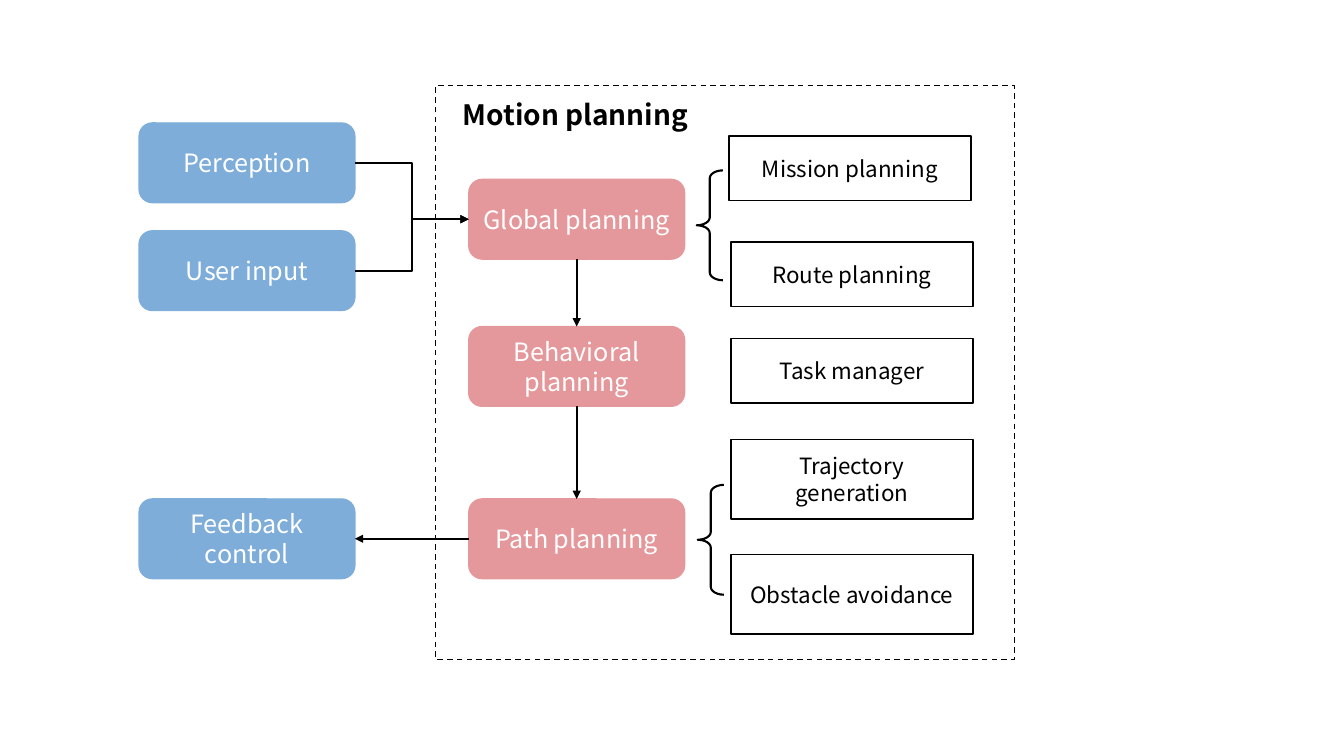
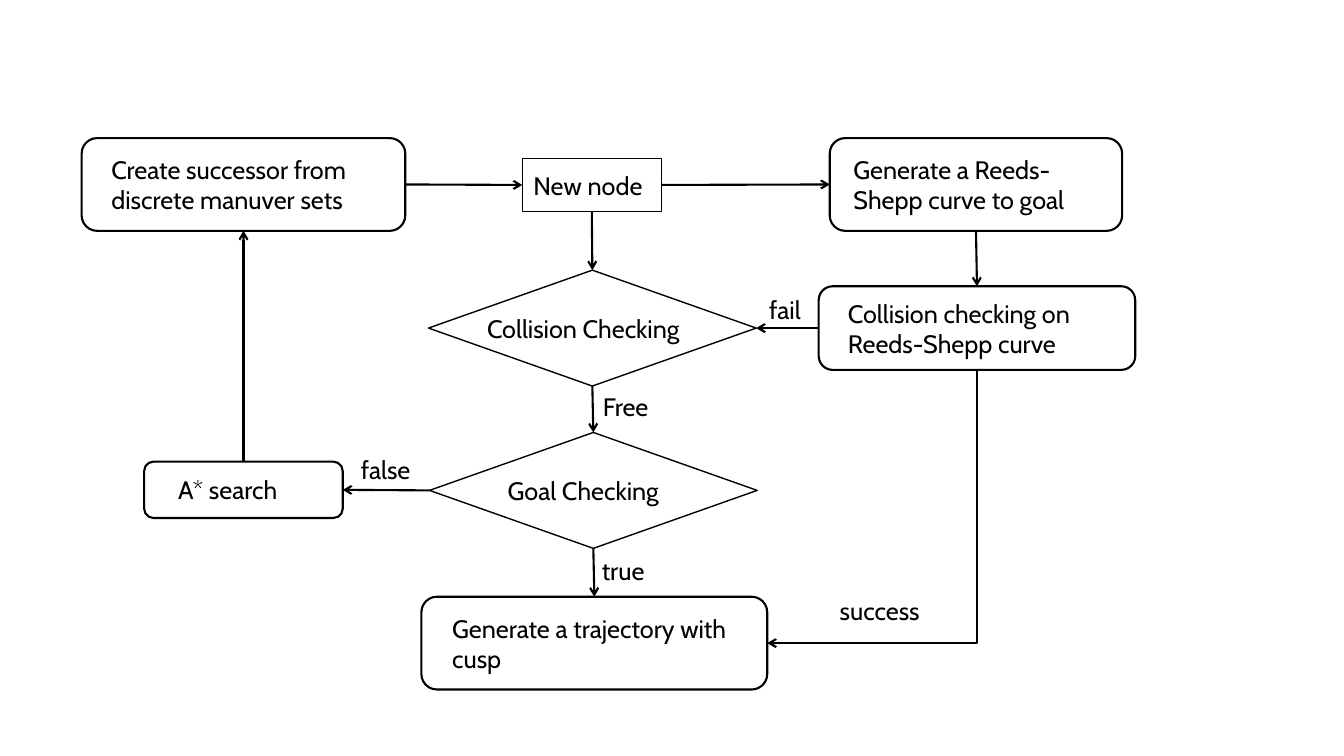
"""Build two flowchart slides: motion planning layers and a path search loop."""
from pptx import Presentation
from pptx.dml.color import RGBColor
from pptx.enum import dml, shapes, text
from pptx.oxml import ns, xmlchemy
from pptx.util import Inches, Pt

BLACK = RGBColor(0x00, 0x00, 0x00)
WHITE = RGBColor(0xFF, 0xFF, 0xFF)
PINK = RGBColor(0xE5, 0x98, 0x9B)
BLUE = RGBColor(0x7E, 0xAD, 0xD9)
SANS = "Noto Sans CJK SC"
CABIN = "Cabin"
RECT = shapes.MSO_SHAPE.RECTANGLE
ROUND = shapes.MSO_SHAPE.ROUNDED_RECTANGLE
DIAMOND = shapes.MSO_SHAPE.DIAMOND
STRAIGHT = shapes.MSO_CONNECTOR.STRAIGHT
ELBOW = shapes.MSO_CONNECTOR.ELBOW
CENTER = text.PP_ALIGN.CENTER
LEFT = text.PP_ALIGN.LEFT
TOP_SIDE, LEFT_SIDE, BOTTOM_SIDE, RIGHT_SIDE = range(4)


def add_box(page, kind, place, words, font, size, fill=WHITE, line=BLACK, ink=BLACK,
            weight=1, align=CENTER, insets=(0.1, 0.1)):
    """Add a filled, outlined shape holding one paragraph."""
    box = page.shapes.add_shape(kind, *[Inches(length) for length in place])
    box.shadow.inherit = False
    box.fill.solid()
    box.fill.fore_color.rgb = fill
    box.line.color.rgb = line
    box.line.width = Pt(weight)
    frame = box.text_frame
    frame.word_wrap = kind != DIAMOND
    frame.vertical_anchor = text.MSO_ANCHOR.MIDDLE
    frame.margin_left, frame.margin_right = [Inches(inset) for inset in insets]
    para = frame.paragraphs[0]
    para.alignment = align
    span = para.add_run()
    span.text = words
    span.font.name = font
    span.font.size = Pt(size)
    span.font.color.rgb = ink
    return box


def link(page, start, start_side, end, end_side, head, kind=STRAIGHT):
    """Join two shapes with an arrow glued to their sides."""
    arrow = page.shapes.add_connector(kind, 0, 0, 0, 0)
    arrow.begin_connect(start, start_side)
    arrow.end_connect(end, end_side)
    arrow.line.color.rgb = BLACK
    arrow.line.width = Pt(1.5)
    tail = xmlchemy.OxmlElement("a:tailEnd")
    tail.set("type", head)
    arrow.line._get_or_add_ln().append(tail)
    arrow._element.spPr.append(xmlchemy.OxmlElement("a:effectLst"))
    return arrow


deck = Presentation()
deck.slide_width = Inches(13.33)
deck.slide_height = Inches(7.5)
blank = deck.slide_layouts[6]

planning = deck.slides.add_slide(blank)
border = planning.shapes.add_shape(RECT, Inches(4.32), Inches(0.85), Inches(5.74), Inches(5.69))
border.shadow.inherit = False
border.fill.background()
border.line.color.rgb = BLACK
border.line.width = Pt(1)
border.line.dash_style = dml.MSO_LINE.DASH

stages = {}
for words, left, top, color in [
    ("Perception", 1.38, 1.22, BLUE),
    ("User input", 1.38, 2.29, BLUE),
    ("Feedback control", 1.38, 4.95, BLUE),
    ("Global planning", 4.65, 1.78, PINK),
    ("Behavioral planning", 4.65, 3.24, PINK),
    ("Path planning", 4.65, 4.95, PINK),
]:
    stages[words] = add_box(planning, ROUND, (left, top, 2.14, 0.79), words, SANS, 18,
                            fill=color, line=color, ink=WHITE)

for words, left, top, height in [
    ("Mission planning", 7.23, 1.35, 0.64),
    ("Route planning", 7.25, 2.4, 0.64),
    ("Task manager", 7.25, 3.36, 0.64),
    ("Trajectory generation", 7.25, 4.36, 0.79),
    ("Obstacle avoidance", 7.25, 5.5, 0.79),
]:
    add_box(planning, RECT, (left, top, 2.4, height), words, SANS, 16)

for left, top in [(6.91, 1.69), (6.92, 4.81)]:
    brace = planning.shapes.add_shape(shapes.MSO_SHAPE.LEFT_BRACE, Inches(left), Inches(top),
                                      Inches(0.26), Inches(1.09))
    brace.adjustments[0] = 0.3
    brace.shadow.inherit = False
    brace.fill.background()
    brace.line.color.rgb = BLACK
    brace.line.width = Pt(1.5)

for start, start_side, end, end_side, kind in [
    ("Perception", RIGHT_SIDE, "Global planning", LEFT_SIDE, ELBOW),
    ("User input", RIGHT_SIDE, "Global planning", LEFT_SIDE, ELBOW),
    ("Global planning", BOTTOM_SIDE, "Behavioral planning", TOP_SIDE, STRAIGHT),
    ("Behavioral planning", BOTTOM_SIDE, "Path planning", TOP_SIDE, STRAIGHT),
    ("Path planning", LEFT_SIDE, "Feedback control", RIGHT_SIDE, STRAIGHT),
]:
    link(planning, stages[start], start_side, stages[end], end_side, "triangle", kind)

search = deck.slides.add_slide(blank)
steps = {}
for name, words, kind, place, weight, align, insets in [
    ("node", "New node", RECT, (5.18, 1.57, 1.38, 0.53), 1, LEFT, (0.11, 0.1)),
    ("collision", "Collision Checking", DIAMOND, (4.25, 2.68, 3.25, 1.15), 1, CENTER, (0, 0.18)),
    ("goal", "Goal Checking", DIAMOND, (4.26, 4.29, 3.25, 1.15), 1, CENTER, (0, 0.2)),
    ("curve", "Generate a Reeds-Shepp curve to goal", ROUND, (8.23, 1.37, 2.9, 0.92),
     1.5, LEFT, (0.19, 0.25)),
    ("curve check", "Collision checking on Reeds-Shepp curve", ROUND, (8.12, 2.84, 3.14, 0.83),
     1.5, LEFT, (0.25, 0.25)),
    ("successor", "Create successor from discrete manuver sets", ROUND, (0.81, 1.37, 3.21, 0.92),
     1.5, LEFT, (0.25, 0.25)),
    ("astar", "A* search", ROUND, (1.43, 4.58, 1.97, 0.56), 1.5, LEFT, (0.31, 0.1)),
    ("trajectory", "Generate a trajectory with cusp", ROUND, (4.18, 5.92, 3.43, 0.92),
     1.5, LEFT, (0.26, 0.25)),
]:
    steps[name] = add_box(search, kind, place, words, CABIN, 18, weight=weight,
                          align=align, insets=insets)

for start, start_side, end, end_side in [
    ("successor", RIGHT_SIDE, "node", LEFT_SIDE),
    ("node", RIGHT_SIDE, "curve", LEFT_SIDE),
    ("node", BOTTOM_SIDE, "collision", TOP_SIDE),
    ("curve", BOTTOM_SIDE, "curve check", TOP_SIDE),
    ("curve check", LEFT_SIDE, "collision", RIGHT_SIDE),
    ("collision", BOTTOM_SIDE, "goal", TOP_SIDE),
    ("goal", LEFT_SIDE, "astar", RIGHT_SIDE),
    ("goal", BOTTOM_SIDE, "trajectory", TOP_SIDE),
    ("astar", TOP_SIDE, "successor", BOTTOM_SIDE),
]:
    link(search, steps[start], start_side, steps[end], end_side, "arrow")

success = link(search, steps["curve check"], BOTTOM_SIDE, steps["trajectory"], RIGHT_SIDE,
               "arrow", ELBOW)
across, down = success.width, success.height
success.left += (across - down) // 2
success.top += (down - across) // 2
success.width, success.height = down, across
turn = success._element.spPr.find(ns.qn("a:xfrm"))
turn.attrib.pop("flipH", None)
turn.set("rot", "5400000")
success._element.spPr.find(ns.qn("a:prstGeom")).set("prst", "bentConnector2")

for page, words, left, top, width, font, size, bold in [
    (planning, "Motion planning", 4.49, 0.92, 3.31, SANS, 20, True),
    (search, "fail", 7.53, 2.87, 0.92, CABIN, 18, False),
    (search, "Free", 5.88, 3.83, 0.92, CABIN, 18, False),
    (search, "false", 3.48, 4.46, 0.92, CABIN, 18, False),
    (search, "true", 5.87, 5.46, 0.92, CABIN, 18, False),
    (search, "success", 8.23, 5.86, 1.28, CABIN, 18, False),
]:
    label = page.shapes.add_textbox(Inches(left), Inches(top), Inches(width), Inches(0.4))
    label.text_frame.word_wrap = True
    span = label.text_frame.paragraphs[0].add_run()
    span.text = words
    span.font.name = font
    span.font.size = Pt(size)
    span.font.bold = bold
    span.font.color.rgb = BLACK

deck.save("out.pptx")
